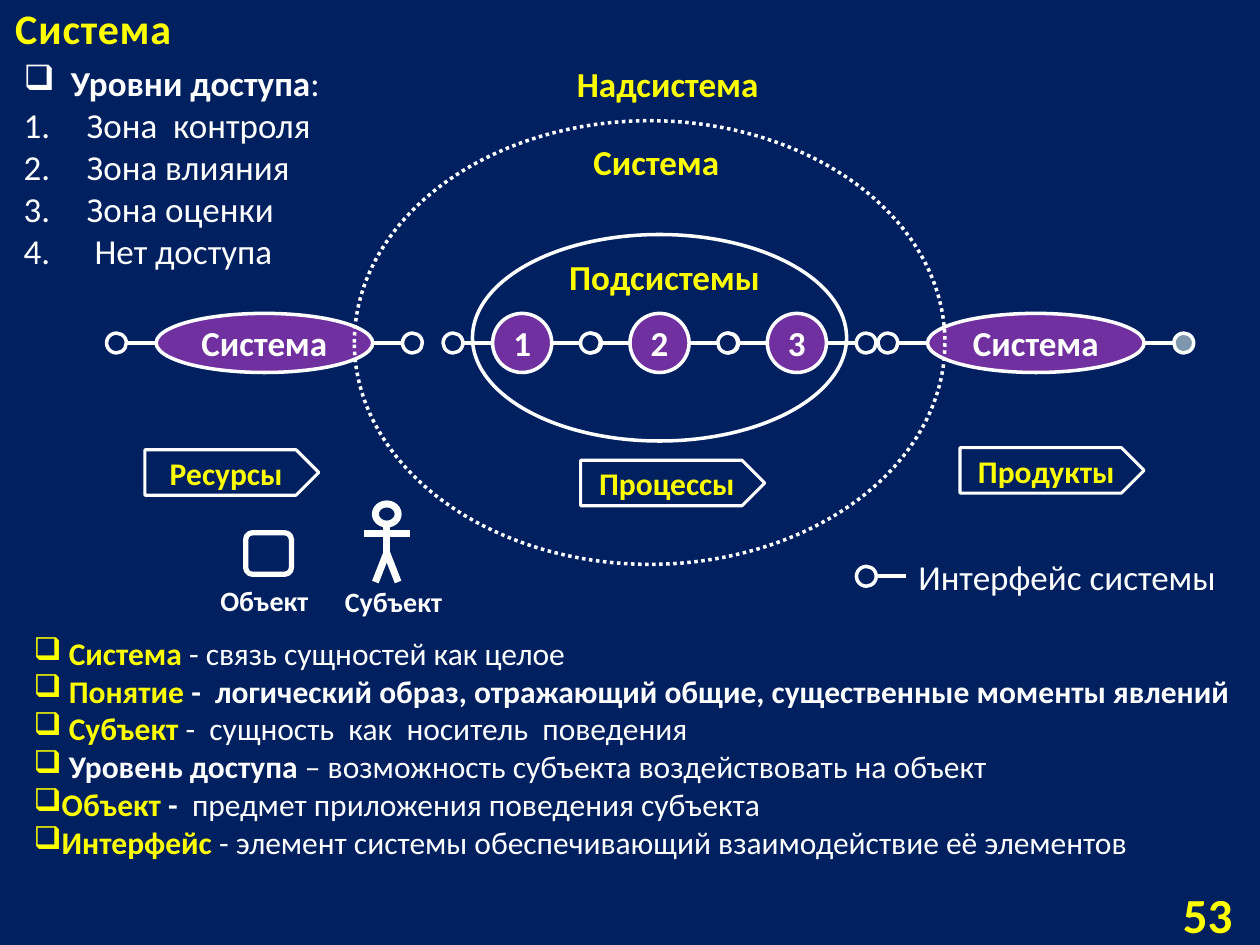
from dataclasses import dataclass

from pptx import Presentation
from pptx.dml.color import RGBColor
from pptx.enum.dml import MSO_LINE
from pptx.enum.shapes import MSO_CONNECTOR, MSO_SHAPE
from pptx.enum.text import MSO_ANCHOR, PP_ALIGN
from pptx.oxml.ns import qn
from pptx.util import Pt
from lxml import etree

NAVY = RGBColor(0x00, 0x20, 0x60)
PURPLE = RGBColor(0x70, 0x30, 0xA0)
GREY = RGBColor(0x7E, 0x97, 0xAD)
YELLOW = RGBColor(0xFF, 0xFF, 0x00)
WHITE = RGBColor(0xFF, 0xFF, 0xFF)
FONT = "Calibri"
OVAL, PLATE, ROUNDED = MSO_SHAPE.OVAL, MSO_SHAPE.PENTAGON, MSO_SHAPE.ROUNDED_RECTANGLE
STRAIGHT = MSO_CONNECTOR.STRAIGHT
DOTTED = MSO_LINE.ROUND_DOT
LEFT, CENTER, RIGHT = PP_ALIGN.LEFT, PP_ALIGN.CENTER, PP_ALIGN.RIGHT
MIDDLE, BOTTOM = MSO_ANCHOR.MIDDLE, MSO_ANCHOR.BOTTOM

AXIS = 196      # height of the centre line of the chain
NODE = 33.8     # node height, and width of a numbered node
SYSTEM = 123.8  # width of an outer system
PORT = 11.3     # interface circle
STEM = 17       # interface line


@dataclass
class Label:
    text: str
    left: float
    top: float
    width: float
    height: float
    size: float = 20
    color: RGBColor = YELLOW
    bold: bool = True


@dataclass
class Node:
    text: str
    left: float
    width: float = NODE
    last_port: RGBColor = NAVY


@dataclass
class Definition:
    term: str
    meaning: str
    term_color: RGBColor = YELLOW
    meaning_bold: bool = False


LABELS = [
    Label("Подсистемы", 318.2, 142.5, 124, 31.5),
    Label("Система", 332, 77, 89, 31.5),
    Label("Надсистема", 322.6, 32.4, 124, 31.5),
    Label("Субъект", 190, 330.5, 75, 26.6, 16, WHITE),
    Label("Объект", 118.8, 329.8, 70, 26.6, 16, WHITE),
    Label("Интерфейс системы", 517.7, 314, 186, 31.5, 20, WHITE, False),
]
OUTER_SYSTEMS = [Node("Система", 89.2, SYSTEM), Node("Система", 530, SYSTEM, GREY)]
SUBSYSTEMS = [Node(str(i + 1), 281.5 + 78.5 * i) for i in range(3)]
PLATES = [
    Label("Ресурсы", 82.8, 257, 99.4, 26, 18),
    Label("Процессы", 331.8, 263, 105.2, 26, 18),
    Label("Продукты", 548.6, 255.8, 105.2, 26, 18),
]
BODY_LINES = [
    (221, 299.5, 221, 316),
    (221, 316, 214.5, 332.6),
    (221, 316, 227.5, 332.6),
    (208, 304.6, 234, 304.6),
]
LEVELS = ["Зона  контроля", "Зона влияния", "Зона оценки", " Нет доступа"]
DEFINITIONS = [
    Definition(" Система", " - связь сущностей как целое"),
    Definition(" Понятие ", "-  логический образ, отражающий общие, существенные моменты явлений",
               meaning_bold=True),
    Definition(" Субъект", " -  сущность  как  носитель  поведения"),
    Definition(" Уровень доступа ", "– возможность субъекта воздействовать на объект", WHITE),
    Definition("Объект -", "  предмет приложения поведения субъекта"),
    Definition("Интерфейс", " - элемент системы обеспечивающий взаимодействие её элементов"),
]


def style(font, size: float, color: RGBColor, bold: bool) -> None:
    font.name, font.size, font.bold = FONT, Pt(size), bold
    font.color.rgb = color


def add_shape(slide, kind, left, top, width, height, fill=None, weight=2):
    shape = slide.shapes.add_shape(kind, Pt(left), Pt(top), Pt(width), Pt(height))
    shape.shadow.inherit = False
    if fill is None:
        shape.fill.background()
    else:
        shape.fill.solid()
        shape.fill.fore_color.rgb = fill
    shape.line.color.rgb = WHITE
    shape.line.width = Pt(weight)
    return shape


def add_line(slide, x1, y1, x2, y2, weight=2) -> None:
    line = slide.shapes.add_connector(STRAIGHT, Pt(x1), Pt(y1), Pt(x2), Pt(y2))
    line.line.color.rgb = WHITE
    line.line.width = Pt(weight)
    etree.SubElement(line._element.spPr, qn("a:effectLst"))


def write_centered(shape, text: str, size: float, color: RGBColor) -> None:
    frame = shape.text_frame
    frame.word_wrap = False
    frame.vertical_anchor = MIDDLE
    frame.margin_left = frame.margin_right = frame.margin_top = frame.margin_bottom = 0
    para = frame.paragraphs[0]
    para.text, para.alignment = text, CENTER
    style(para.font, size, color, True)


def add_frame(slide, left, top, width, height):
    box = slide.shapes.add_textbox(Pt(left), Pt(top), Pt(width), Pt(height))
    box.text_frame.word_wrap = True
    return box.text_frame


def add_label(slide, label: Label):
    frame = add_frame(slide, label.left, label.top, label.width, label.height)
    frame.word_wrap = False
    para = frame.paragraphs[0]
    para.text = label.text
    style(para.font, label.size, label.color, label.bold)
    return frame


def add_port(slide, edge: float, axis: float, direction: int, fill: RGBColor = NAVY) -> None:
    """Draw an interface that leaves the edge to the right (1) or to the left (-1)."""
    end = edge + direction * STEM
    add_line(slide, edge, axis, end, axis)
    left = end if direction > 0 else end - PORT
    add_shape(slide, OVAL, left, axis - PORT / 2, PORT, PORT, fill)


def add_node(slide, node: Node) -> None:
    oval = add_shape(slide, OVAL, node.left, AXIS - NODE / 2, node.width, NODE, PURPLE)
    write_centered(oval, node.text, 20, WHITE)
    add_port(slide, node.left + node.width, AXIS, 1, node.last_port)
    add_port(slide, node.left, AXIS, -1)


def add_item(frame, first: bool, indent: float, color: RGBColor, tag: str, **mark):
    """Return a paragraph with a hanging bullet or number."""
    para = frame.paragraphs[0] if first else frame.add_paragraph()
    properties = para._p.get_or_add_pPr()
    properties.set("marL", str(Pt(indent)))
    properties.set("indent", str(-Pt(indent)))
    bullet_color = etree.SubElement(properties, qn("a:buClr"))
    etree.SubElement(bullet_color, qn("a:srgbClr"), val=str(color))
    etree.SubElement(properties, qn(tag), **mark)
    return para


def add_span(para, text: str, size: float, color: RGBColor, bold: bool):
    span = para.add_run()
    span.text = text
    style(span.font, size, color, bold)
    return span


def add_title(slide) -> None:
    title = slide.shapes.title
    title.left, title.top, title.width, title.height = Pt(1.5), Pt(5.8), Pt(111), Pt(28)
    frame = title.text_frame
    frame.word_wrap, frame.vertical_anchor = False, BOTTOM
    para = frame.paragraphs[0]
    para.alignment = LEFT
    span = add_span(para, "Система", 24, YELLOW, True)
    span._r.get_or_add_rPr().set("spc", "50")


def add_levels(slide) -> None:
    frame = add_frame(slide, 6.5, 31.7, 234.7, 128)
    heading = add_item(frame, True, 27, WHITE, "a:buChar", char="❑")
    add_span(heading, "Уровни доступа", 20, WHITE, True)
    add_span(heading, ":", 20, WHITE, False)
    for level in LEVELS:
        para = add_item(frame, False, 36, WHITE, "a:buAutoNum", type="arabicPeriod")
        add_span(para, level, 20, WHITE, False)


def add_definitions(slide) -> None:
    frame = add_frame(slide, 12.2, 358.6, 707.8, 181)
    for index, entry in enumerate(DEFINITIONS):
        para = add_item(frame, index == 0, 13.5, YELLOW, "a:buChar", char="❑")
        add_span(para, entry.term.removesuffix(" -"), 18, entry.term_color, True)
        if entry.term.endswith(" -"):
            add_span(para, " -", 18, WHITE, True)
        add_span(para, entry.meaning, 18, WHITE, entry.meaning_bold)


def main() -> None:
    deck = Presentation()
    deck.slide_width, deck.slide_height = Pt(720), Pt(540)
    slide = deck.slides.add_slide(deck.slide_layouts[5])
    slide.background.fill.solid()
    slide.background.fill.fore_color.rgb = NAVY
    add_title(slide)
    for node in OUTER_SYSTEMS + SUBSYSTEMS:
        add_node(slide, node)
    add_shape(slide, OVAL, 270, 134, 213.8, 118)
    boundary = add_shape(slide, OVAL, 202.5, 69, 337.5, 253.5)
    boundary.line.dash_style = DOTTED
    for plate in PLATES:
        shape = add_shape(slide, PLATE, plate.left, plate.top, plate.width, plate.height, NAVY, 1.75)
        write_centered(shape, plate.text, plate.size, plate.color)
    add_shape(slide, OVAL, 214.5, 288, 13, 11.5, weight=4)
    for ends in BODY_LINES:
        add_line(slide, *ends, weight=4)
    add_shape(slide, ROUNDED, 140.4, 304.4, 26.2, 23.8, NAVY, 3)
    add_port(slide, 517.7, 329.3, -1)
    for label in LABELS:
        add_label(slide, label)
    number = add_label(slide, Label("53", 666.7, 507.6, 44.6, 28.8, 28))
    number.vertical_anchor, number.word_wrap = MIDDLE, True
    number.paragraphs[0].alignment = RIGHT
    add_levels(slide)
    add_definitions(slide)
    deck.save("out.pptx")


if __name__ == "__main__":
    main()
